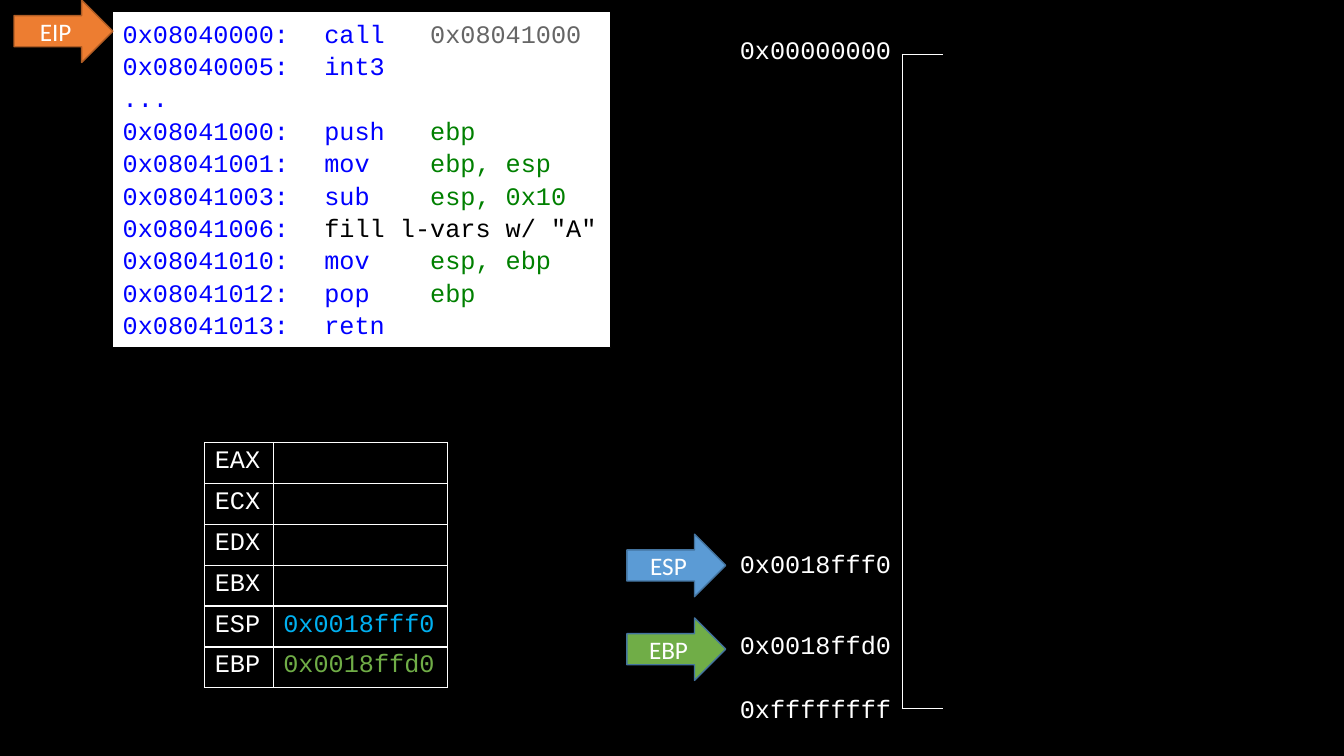
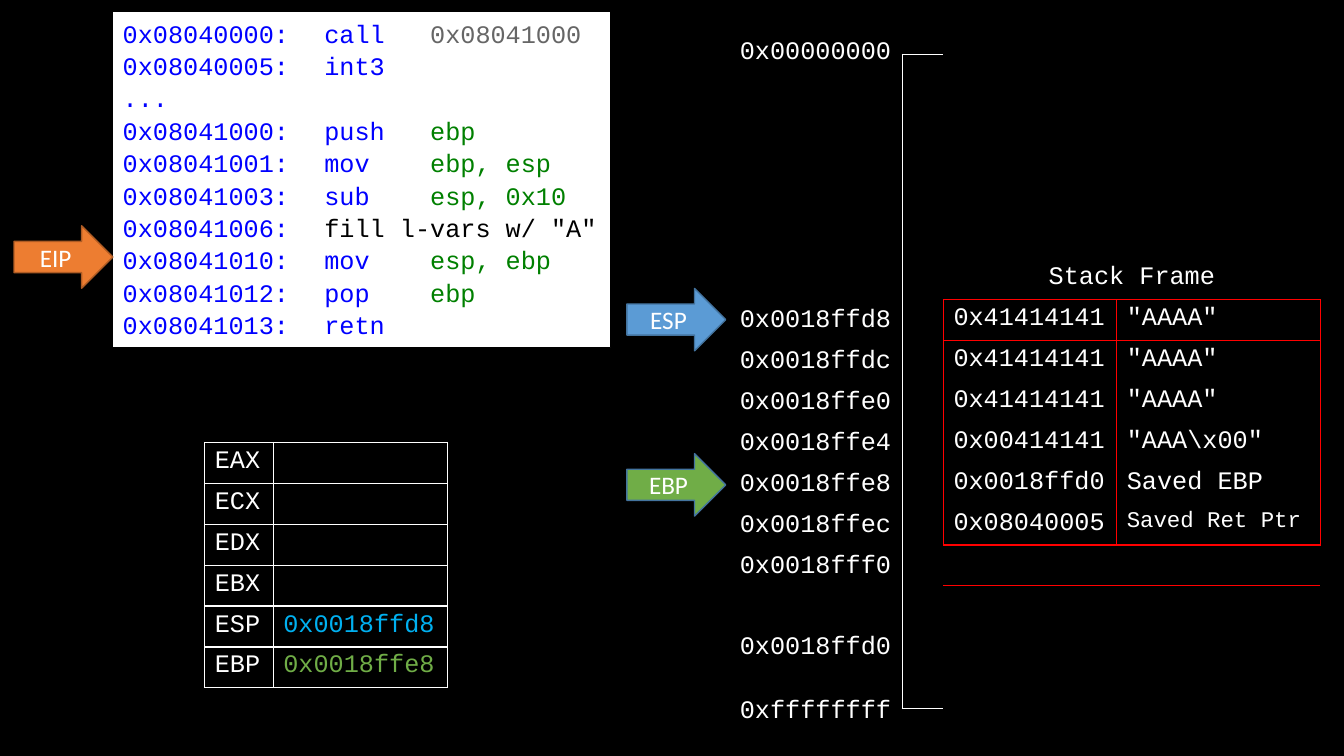
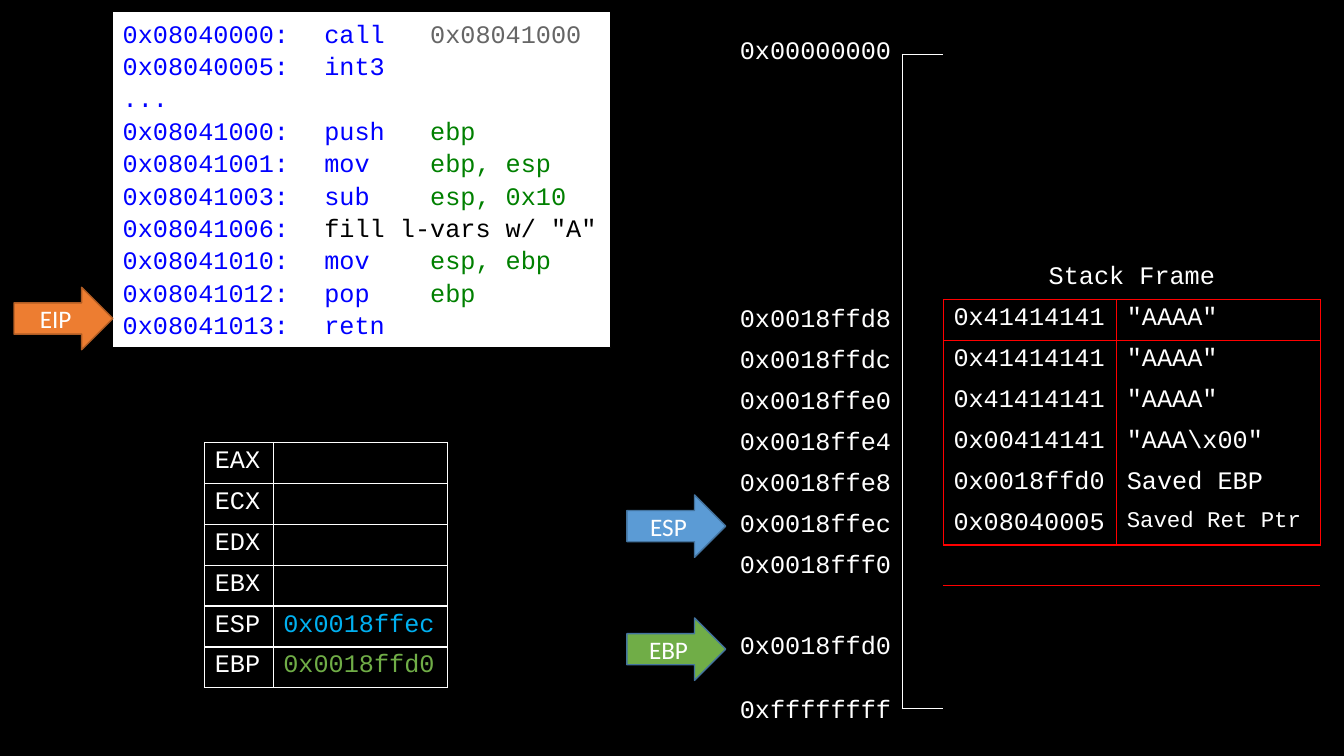
from collections import defaultdict
from dataclasses import dataclass

from lxml import etree
from pptx import Presentation
from pptx.dml.color import RGBColor
from pptx.enum.shapes import MSO_SHAPE
from pptx.enum.text import MSO_ANCHOR, PP_ALIGN
from pptx.oxml.ns import qn
from pptx.util import Pt

RECT = MSO_SHAPE.RECTANGLE
ARROW = MSO_SHAPE.RIGHT_ARROW
TOP, MIDDLE = MSO_ANCHOR.TOP, MSO_ANCHOR.MIDDLE
LEFT, CENTER, RIGHT = PP_ALIGN.LEFT, PP_ALIGN.CENTER, PP_ALIGN.RIGHT
NO_STYLE = "{2D5ABB26-0587-4C30-8999-92F81FD0307C}"


@dataclass(frozen=True)
class Theme:
    black: str = "000000"
    white: str = "FFFFFF"
    frame: str = "FF0000"
    code: str = "0000FF"
    target: str = "666666"
    operand: str = "008000"
    esp: str = "5B9BD5"
    esp_value: str = "00B0F0"
    ebp: str = "70AD47"
    eip: str = "ED7D31"
    eip_line: str = "AF5C24"
    stack_line: str = "43739E"
    mono: str = "Courier New"
    sans: str = "Calibri"
    body: int = 18
    small: int = 16
    tiny: int = 6


T = Theme()
ROW = 29.2
SHORT_ROW = 16.6
STACK_ROWS = 16
FRAME_ROW, FRAME_END = 6, 11
FRAME_LABEL_ROW = FRAME_ROW - 1
FIRST_SLOT_ROW = 7
FRAME_BASE = 0x0018FFD8
ADDRESS_ROWS = [ROW, SHORT_ROW] + [ROW] * 14 + [SHORT_ROW, ROW]

CODE = [
    ("0x08040000:", "call", "0x08041000", T.target),
    ("0x08040005:", "int3", "", T.code),
    ("...", "", "", T.code),
    ("0x08041000:", "push", "ebp", T.operand),
    ("0x08041001:", "mov", "ebp, esp", T.operand),
    ("0x08041003:", "sub", "esp, 0x10", T.operand),
    ("0x08041006:", "", 'fill l-vars w/ "A"', T.black),
    ("0x08041010:", "mov", "esp, ebp", T.operand),
    ("0x08041012:", "pop", "ebp", T.operand),
    ("0x08041013:", "retn", "", T.code),
]

FRAME = [
    ("0x41414141", '"AAAA"'),
    ("0x41414141", '"AAAA"'),
    ("0x41414141", '"AAAA"'),
    ("0x00414141", '"AAA\\x00"'),
    ("0x0018ffd0", "Saved EBP"),
    ("0x08040005", "Saved Ret Ptr"),
]

STATES = [
    dict(framed=False, esp="0x0018fff0", ebp="0x0018ffd0",
         eip_top=0, esp_top=381.6, ebp_top=441.4),
    dict(framed=True, esp="0x0018ffd8", ebp="0x0018ffe8",
         eip_top=161.3, esp_top=206, ebp_top=324),
    dict(framed=True, esp="0x0018ffec", ebp="0x0018ffd0",
         eip_top=205.2, esp_top=353.5, ebp_top=441.4),
]


def rgb(color):
    return RGBColor.from_string(color)


def set_font(font, color, name=T.mono, size=T.body):
    font.name, font.size = name, Pt(size)
    font.color.rgb = rgb(color)


def add_box(slide, kind, left, top, width, height, fill, line):
    sp = slide.shapes.add_shape(kind, Pt(left), Pt(top), Pt(width), Pt(height))
    sp.shadow.inherit = False
    sp.fill.solid()
    sp.fill.fore_color.rgb = rgb(fill)
    sp.line.color.rgb = rgb(line)
    sp.line.width = Pt(1)
    return sp


def add_pointer(slide, label, left, top, fill, line):
    sp = add_box(slide, ARROW, left, top, 70.6, 44.6, fill, line)
    p = sp.text_frame.paragraphs[0]
    p.text, p.alignment = label, CENTER
    set_font(p.font, T.white, T.sans)


def add_run(p, text, color):
    r = p.add_run()
    r.text = text
    set_font(r.font, color)


def add_code(slide):
    tf = add_box(slide, RECT, 80.6, 7.9, 355.7, 240.5, T.white, T.black).text_frame
    tf.word_wrap = True
    tf.vertical_anchor = TOP
    for i, (address, op, args, color) in enumerate(CODE):
        p = tf.paragraphs[0] if i == 0 else tf.add_paragraph()
        p.alignment, p.line_spacing = LEFT, 1.07
        op = f"{op:<7}" if op and args else op
        add_run(p, f"{address}\t{op}" if op or args else address, T.code)
        if args:
            add_run(p, args, color)


def outline(borders, top, left, bottom, right, color, sides="LRTB"):
    for r in range(top, bottom + 1):
        if "L" in sides:
            borders[r, left]["L"] = borders[r, left - 1]["R"] = color
        if "R" in sides:
            borders[r, right]["R"] = borders[r, right + 1]["L"] = color
    for c in range(left, right + 1):
        if "T" in sides:
            borders[top, c]["T"] = borders[top - 1, c]["B"] = color
        if "B" in sides:
            borders[bottom, c]["B"] = borders[bottom + 1, c]["T"] = color


def draw_borders(cell, sides):
    tcPr = cell._tc.get_or_add_tcPr()
    for side in "LRTB":
        if side in sides:
            ln = etree.SubElement(tcPr, qn(f"a:ln{side}"), w=str(Pt(1)))
            fill = etree.SubElement(ln, qn("a:solidFill"))
            etree.SubElement(fill, qn("a:srgbClr"), val=sides[side])


def add_grid(slide, left, top, widths, heights, borders):
    table = slide.shapes.add_table(
        len(heights), len(widths), Pt(left), Pt(top),
        Pt(sum(widths)), Pt(sum(heights))).table
    table.first_row = table.horz_banding = False
    table._tbl.tblPr.find(qn("a:tableStyleId")).text = NO_STYLE
    for c, width in enumerate(widths):
        table.columns[c].width = Pt(width)
    for r, height in enumerate(heights):
        table.rows[r].height = Pt(height)
        for c in range(len(widths)):
            cell = table.cell(r, c)
            draw_borders(cell, borders[r, c])
            cell.fill.background()
            if height < ROW:
                end = cell.text_frame.paragraphs[0]._p.get_or_add_endParaRPr()
                end.set("sz", str(T.tiny * 100))
    return table


def write_cell(cell, text, color=T.white, size=T.body, align=LEFT, anchor=TOP):
    cell.vertical_anchor = anchor
    p = cell.text_frame.paragraphs[0]
    p.text, p.alignment = text, align
    set_font(p.font, color, size=size)


def add_stack(slide, framed):
    borders = defaultdict(dict)
    outline(borders, 0, 0, STACK_ROWS - 1, 0, T.white, "LTB")
    if framed:
        outline(borders, FRAME_ROW, 1, FRAME_END, 2, T.frame)
    table = add_grid(slide, 644.4, 38.9, [29.5, 123.8, 145.4], [ROW] * STACK_ROWS, borders)
    if not framed:
        return
    label = table.cell(FRAME_LABEL_ROW, 1)
    label.merge(table.cell(FRAME_LABEL_ROW, 2))
    write_cell(label, "Stack Frame", align=CENTER)
    for r, (value, meaning) in enumerate(FRAME, FRAME_ROW):
        write_cell(table.cell(r, 1), value)
        write_cell(table.cell(r, 2), meaning, size=T.small if r == FRAME_END else T.body)


def add_addresses(slide, framed):
    labels = {0: "0x00000000", 13: "0x0018fff0", 15: "0x0018ffd0", 17: "0xffffffff"}
    if framed:
        for i in range(len(FRAME)):
            labels[FIRST_SLOT_ROW + i] = f"0x{FRAME_BASE + 4 * i:08x}"
    table = add_grid(slide, 518.4, 23, [125.3], ADDRESS_ROWS, defaultdict(dict))
    for r, text in labels.items():
        write_cell(table.cell(r, 0), text, align=RIGHT, anchor=MIDDLE)


def add_registers(slide, esp, ebp):
    names = ["EAX", "ECX", "EDX", "EBX", "ESP", "EBP"]
    borders = defaultdict(dict)
    for r in range(len(names)):
        for c in range(2):
            outline(borders, r, c, r, c, T.white)
    table = add_grid(slide, 146.2, 316.1, [49, 124.6], [ROW] * len(names), borders)
    for r, name in enumerate(names):
        write_cell(table.cell(r, 0), name)
    write_cell(table.cell(4, 1), esp, T.esp_value)
    write_cell(table.cell(5, 1), ebp, T.ebp)


def add_state(prs, framed, esp, ebp, eip_top, esp_top, ebp_top):
    s = prs.slides.add_slide(prs.slide_layouts[6])
    add_stack(s, framed)
    add_addresses(s, framed)
    add_registers(s, esp, ebp)
    add_code(s)
    add_pointer(s, "EIP", 10, eip_top, T.eip, T.eip_line)
    add_pointer(s, "ESP", 447.8, esp_top, T.esp, T.stack_line)
    add_pointer(s, "EBP", 447.8, ebp_top, T.ebp, T.stack_line)


def main():
    prs = Presentation()
    prs.slide_width, prs.slide_height = Pt(960), Pt(540)
    background = prs.slide_master.background.fill
    background.solid()
    background.fore_color.rgb = rgb(T.black)
    for state in STATES:
        add_state(prs, **state)
    prs.save("out.pptx")


if __name__ == "__main__":
    main()
